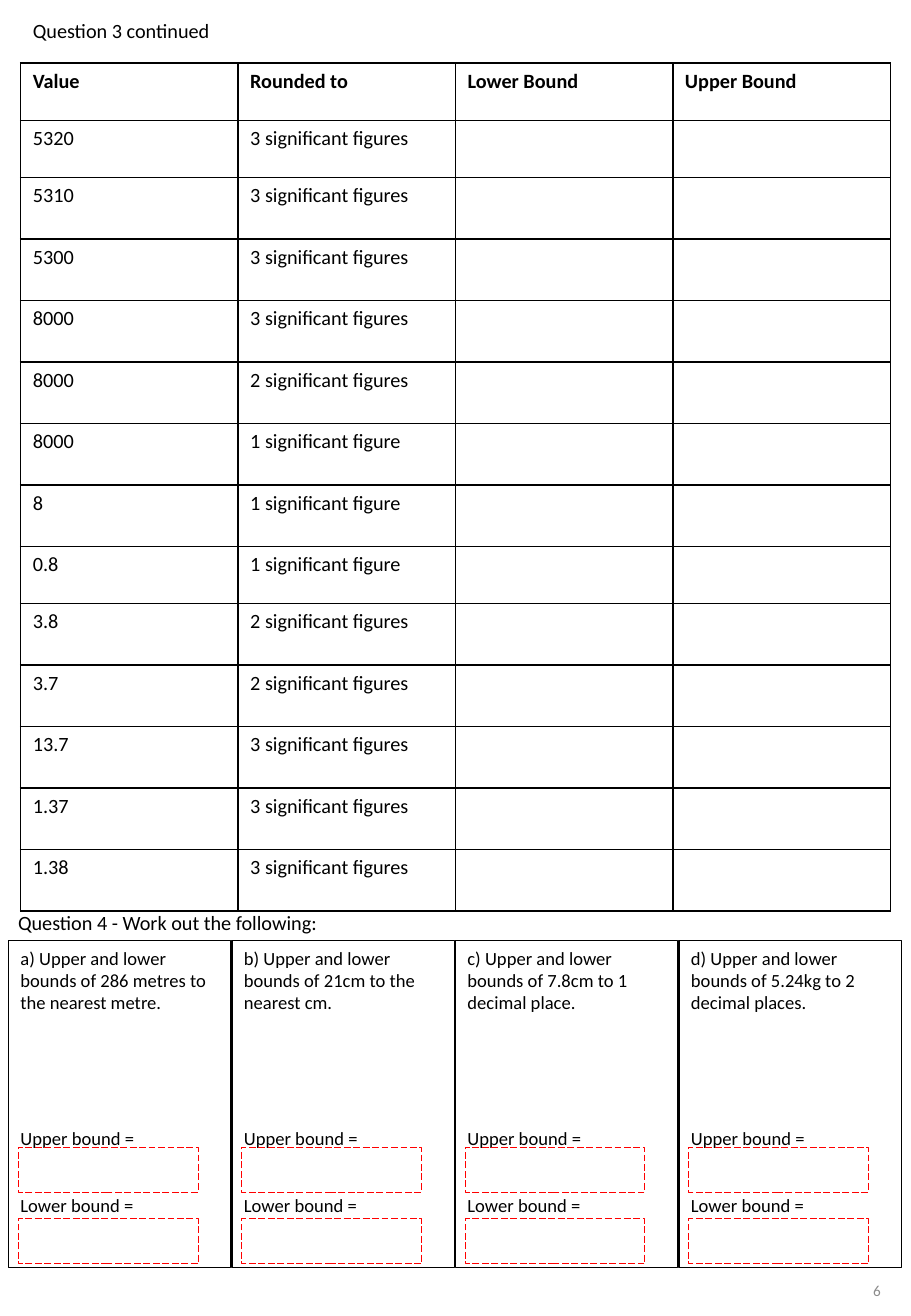
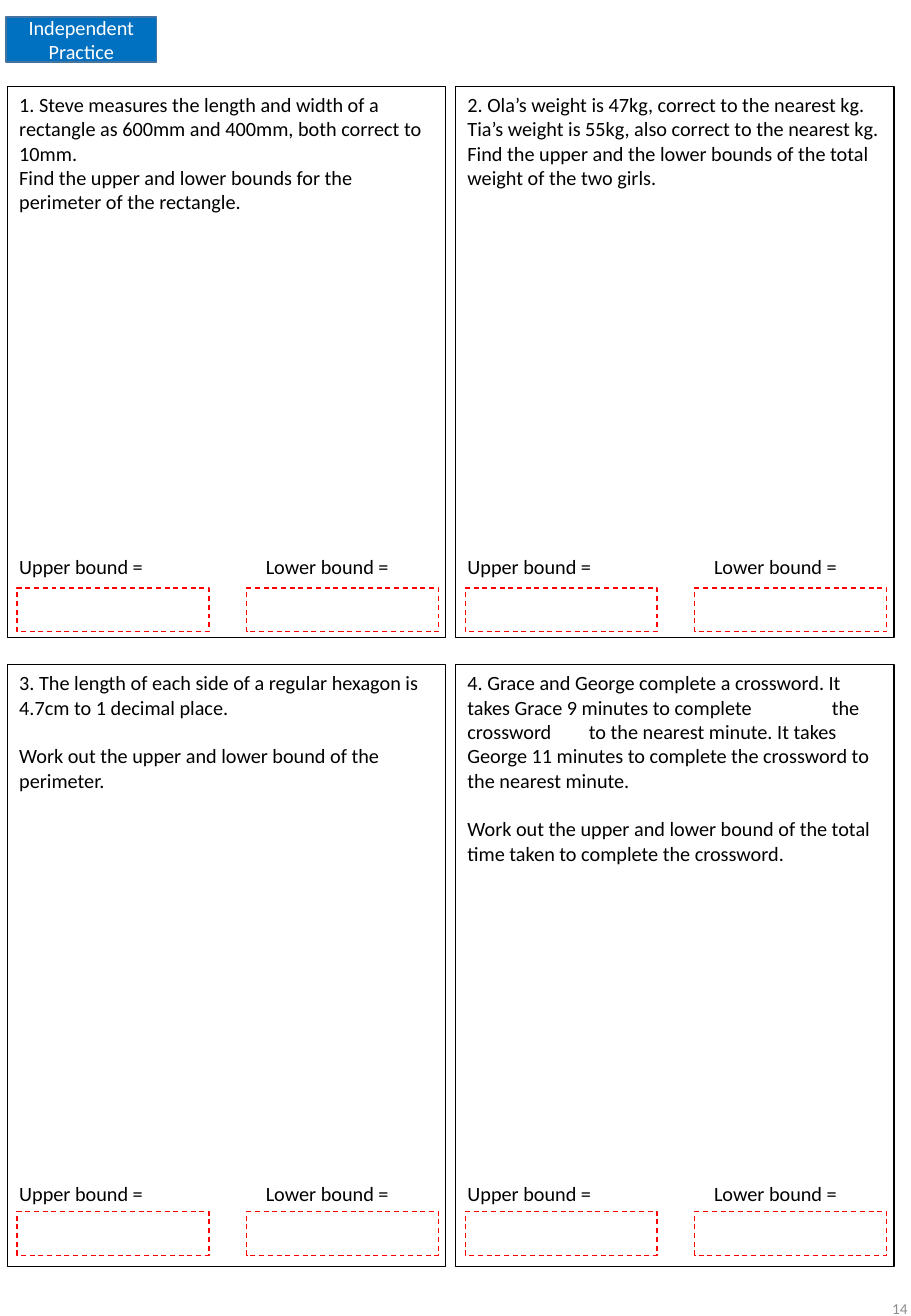
from lxml import etree
from pptx import Presentation
from pptx.dml.color import RGBColor
from pptx.enum.dml import MSO_LINE
from pptx.enum.shapes import MSO_SHAPE
from pptx.enum.text import MSO_ANCHOR, PP_ALIGN
from pptx.oxml.ns import qn
from pptx.util import Inches, Pt

RECT = MSO_SHAPE.RECTANGLE
DASH, LONG_DASH = MSO_LINE.DASH, MSO_LINE.LONG_DASH
TOP, MIDDLE = MSO_ANCHOR.TOP, MSO_ANCHOR.MIDDLE
LEFT, CENTER, RIGHT = PP_ALIGN.LEFT, PP_ALIGN.CENTER, PP_ALIGN.RIGHT


class Theme:
    font = "Calibri"
    ink = RGBColor(0x00, 0x00, 0x00)
    white = RGBColor(0xFF, 0xFF, 0xFF)
    grey = RGBColor(0x8C, 0x8C, 0x8C)
    red = RGBColor(0xFF, 0x00, 0x00)
    blue = RGBColor(0x00, 0x70, 0xC0)
    blue_edge = RGBColor(0x43, 0x73, 0x9E)
    body, small, footer = 12, 11, 9
    body_line, small_line = 14.4, 13.4


def add_box(s, x, y, w, h, line, weight, fill=None, dash=None):
    sp = s.shapes.add_shape(RECT, Inches(x), Inches(y), Inches(w), Inches(h))
    sp.shadow.inherit = False
    if fill is None:
        sp.fill.background()
    else:
        sp.fill.solid()
        sp.fill.fore_color.rgb = fill
    sp.line.color.rgb = line
    sp.line.width = Pt(weight)
    if dash is not None:
        sp.line.dash_style = dash
    return sp


def write(tf, lines, size=Theme.body, color=Theme.ink, align=LEFT,
          anchor=TOP, wrap=True, gaps=(), tabs=(), bold=False):
    tf.text = "\n".join(lines)
    tf.word_wrap = wrap
    tf.vertical_anchor = anchor
    for i, p in enumerate(tf.paragraphs):
        if "\t" in p.text:
            stops = etree.SubElement(p._p.get_or_add_pPr(), qn("a:tabLst"))
            for stop in tabs[i]:
                etree.SubElement(stops, qn("a:tab"), pos=str(Inches(stop)), algn="l")
        p.alignment = align
        if i and gaps:
            p.space_before = Pt(gaps[i - 1])
        for r in p.runs:
            r.font.name = Theme.font
            r.font.size = Pt(size)
            r.font.bold = bold
            r.font.color.rgb = color


prs = Presentation()
prs.slide_width, prs.slide_height = Inches(7.5), Inches(10.83)
blank = prs.slide_layouts[6]
bounds, practice = [prs.slides.add_slide(blank) for _ in range(2)]

for s, number, x, y in ((bounds, "6", 5.66, 10.33), (practice, "14", 5.88, 10.48)):
    tb = s.shapes.add_textbox(Inches(x), Inches(y), Inches(1.69), Inches(0.58))
    write(tb.text_frame, [number], Theme.footer, Theme.grey, RIGHT, MIDDLE)

rows = [
    ("Question 3 continued",),
    ("Value", "Rounded to", "Lower Bound", "Upper Bound"),
    ("5320", "3 significant figures"),
    ("5310", "3 significant figures"),
    ("5300", "3 significant figures"),
    ("8000", "3 significant figures"),
    ("8000", "2 significant figures"),
    ("8000", "1 significant figure"),
    ("8", "1 significant figure"),
    ("0.8", "1 significant figure"),
    ("3.8", "2 significant figures"),
    ("3.7", "2 significant figures"),
    ("13.7", "3 significant figures"),
    ("1.37", "3 significant figures"),
    ("1.38", "3 significant figures"),
]
table_top, table_bottom = 0.11, 7.5
heights = {0: 0.41, 1: 0.47, 2: 0.47, 9: 0.47}
tall = (table_bottom - table_top - sum(heights.values())) / (len(rows) - len(heights))
frame = bounds.shapes.add_table(len(rows), 4, Inches(0.17), Inches(table_top),
                                Inches(7.16), Inches(table_bottom - table_top))
table = frame.table
table.first_row = table.horz_banding = False
for column in table.columns:
    column.width = Inches(1.79)
table.cell(0, 0).merge(table.cell(0, 3))
for i, texts in enumerate(rows):
    table.rows[i].height = Inches(heights.get(i, tall))
    for j in range(4):
        cell = table.cell(i, j)
        tcPr = cell._tc.get_or_add_tcPr()
        for side in ("lnL", "lnR", "lnT", "lnB"):
            ln = etree.SubElement(tcPr, qn("a:" + side), w=str(Pt(1)))
            if i == 0 and side != "lnB":
                etree.SubElement(ln, qn("a:noFill"))
            else:
                paint = etree.SubElement(ln, qn("a:solidFill"))
                etree.SubElement(paint, qn("a:srgbClr"), val=str(Theme.ink))
        cell.fill.background()
        if j < len(texts):
            write(cell.text_frame, [texts[j]], bold=i == 1)

tb = bounds.shapes.add_textbox(Inches(0.05), Inches(7.44), Inches(2.69), Inches(0.3))
write(tb.text_frame, ["Question 4 - Work out the following:"], wrap=False)

short_questions = [
    "a) Upper and lower bounds of 286 metres to the nearest metre.",
    "b) Upper and lower bounds of 21cm to the nearest cm.",
    "c) Upper and lower bounds of 7.8cm to 1 decimal place.",
    "d) Upper and lower bounds of 5.24kg to 2 decimal places.",
]
for i, question in enumerate(short_questions):
    x = 0.07 + 1.84 * i
    sp = add_box(bounds, x, 7.74, 1.83, 2.69, Theme.ink, 0.75)
    write(sp.text_frame, [question, "Upper bound =", "Lower bound ="], Theme.small,
          gaps=(5 * Theme.small_line, 2 * Theme.small_line))
    for y in (9.44, 10.03):
        add_box(bounds, x + 0.08, y, 1.48, 0.37, Theme.red, 0.5, dash=LONG_DASH)

sp = add_box(practice, 0.05, 0.14, 1.24, 0.37, Theme.blue_edge, 1, Theme.blue)
write(sp.text_frame, ["Independent Practice"], color=Theme.white, align=CENTER, anchor=MIDDLE)

long_questions = [
    (["1. Steve measures the length and width of a rectangle as 600mm and 400mm, "
      "both correct to 10mm.",
      "Find the upper and lower bounds for the perimeter of the rectangle."], (0, 14)),
    (["2. Ola’s weight is 47kg, correct to the nearest kg. Tia’s weight is 55kg, "
      "also correct to the nearest kg. Find the upper and the lower bounds of the "
      "total weight of the two girls."], (15,)),
    (["3. The length of each side of a regular hexagon is 4.7cm to 1 decimal place.",
      "Work out the upper and lower bound of the perimeter."], (1, 16)),
    (["4. Grace and George complete a crossword. It takes Grace 9 minutes to "
      "complete\tthe crossword\tto the nearest minute. It takes George 11 minutes "
      "to complete the crossword to the nearest minute.",
      "Work out the upper and lower bound of the total time taken to complete "
      "the crossword."], (1, 13)),
]
panel_rows = [(0.71, 4.54, 4.84), (5.47, 4.95, 9.97)]
for i, (lines, blank_lines) in enumerate(long_questions):
    x = 0.06 + 3.69 * (i % 2)
    y, height, answer_y = panel_rows[i // 2]
    sp = add_box(practice, x, y, 3.61, height, Theme.ink, 0.75)
    write(sp.text_frame, lines + ["Upper bound =\tLower bound ="],
          gaps=[n * Theme.body_line for n in blank_lines],
          tabs=[(1, 3)] + [(2.03,)] * len(lines))
    for dx in (0.08, 1.97):
        add_box(practice, x + dx, answer_y, 1.58, 0.36, Theme.red, 0.75, Theme.white, DASH)

prs.save("out.pptx")
